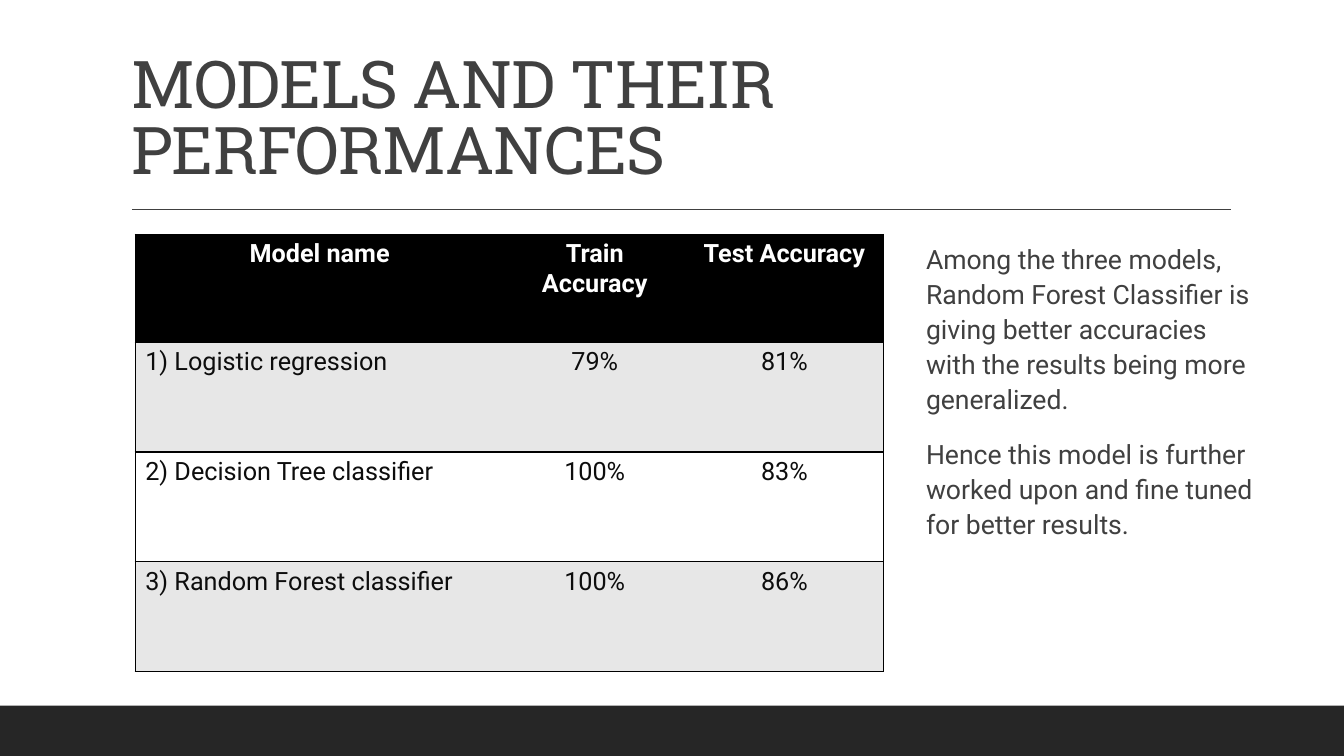
from dataclasses import dataclass

from lxml.etree import SubElement
from pptx import Presentation
from pptx.dml.color import RGBColor
from pptx.enum.shapes import MSO_CONNECTOR, MSO_SHAPE
from pptx.enum.text import MSO_ANCHOR, MSO_AUTO_SIZE, PP_ALIGN
from pptx.oxml.ns import qn
from pptx.slide import Slide
from pptx.table import _Cell
from pptx.text.text import _Paragraph, _Run
from pptx.util import Pt

WIDE, HIGH = 960, 540
BODY, HEAD = "Roboto", "Roboto Slab"
GREY, DARK, BLACK, WHITE, BAND = "404040", "262626", "000000", "FFFFFF", "E7E7E7"


@dataclass
class Column:
    title: str
    width: float
    align: PP_ALIGN


@dataclass
class Model:
    name: str
    train: str
    test: str


COLUMNS = [
    Column("Model name", 263.5, PP_ALIGN.LEFT),
    Column("Train Accuracy", 129.5, PP_ALIGN.CENTER),
    Column("Test Accuracy", 141.5, PP_ALIGN.CENTER),
]
MODELS = [
    Model("1) Logistic regression", "79%", "81%"),
    Model("2) Decision Tree classifier", "100%", "83%"),
    Model("3) Random Forest classifier", "100%", "86%"),
]
NOTES = [
    "Among the three models, Random Forest Classifier is giving better "
    "accuracies with the results being more generalized.",
    "Hence this model is further worked upon and fine tuned for better results.",
]


def color(code: str) -> RGBColor:
    return RGBColor.from_string(code)


def add_run(para: _Paragraph, text: str, size: float, code: str,
            font: str = BODY, bold: bool = False) -> _Run:
    run = para.add_run()
    run.text = text
    run.font.name = font
    run.font.size = Pt(size)
    run.font.bold = bold
    run.font.color.rgb = color(code)
    return run


def add_frame(slide: Slide) -> None:
    """Draw the footer band and the rule below the title."""
    band = slide.shapes.add_shape(MSO_SHAPE.RECTANGLE, 0, Pt(504), Pt(WIDE), Pt(36))
    band.shadow.inherit = False
    band.fill.solid()
    band.fill.fore_color.rgb = color(DARK)
    band.line.fill.background()
    rule = slide.shapes.add_connector(
        MSO_CONNECTOR.STRAIGHT, Pt(94.3), Pt(149.5), Pt(879), Pt(149.5))
    rule.line.color.rgb = color(GREY)
    rule.line.width = Pt(1)
    SubElement(rule._element.spPr, qn("a:effectLst"))


def add_title(slide: Slide, text: str) -> None:
    title = slide.shapes.title
    title.left, title.top = Pt(86.4), Pt(23)
    title.width, title.height = Pt(792), Pt(114.5)
    frame = title.text_frame
    frame.word_wrap = True
    frame.auto_size = MSO_AUTO_SIZE.NONE
    frame.vertical_anchor = MSO_ANCHOR.BOTTOM
    para = frame.paragraphs[0]
    para.alignment = PP_ALIGN.LEFT
    para.line_spacing = 0.83
    run = add_run(para, text, 47, GREY, HEAD)
    run.font._element.set("spc", "-50")


def set_edges(cell: _Cell, first: bool, last: bool) -> None:
    """Rule above and below each cell, and at the outer sides of the table."""
    props = cell._tc.get_or_add_tcPr()
    edges = {"a:lnL": first, "a:lnR": last, "a:lnT": True, "a:lnB": True}
    for tag, shown in edges.items():
        line = SubElement(props, qn(tag), w=str(Pt(1)))
        if shown:
            fill = SubElement(line, qn("a:solidFill"))
            SubElement(fill, qn("a:srgbClr"), val=BLACK)
        else:
            SubElement(line, qn("a:noFill"))


def add_scores(slide: Slide) -> None:
    heights = [77] + [78.4] * len(MODELS)
    table = slide.shapes.add_table(
        len(heights), len(COLUMNS), Pt(96.6), Pt(167.5),
        Pt(sum(col.width for col in COLUMNS)), Pt(sum(heights))).table
    table.first_row = table.horz_banding = False
    for row, height in zip(table.rows, heights):
        row.height = Pt(height)
    texts = [[col.title for col in COLUMNS]]
    texts += [[model.name, model.train, model.test] for model in MODELS]
    for x, col in enumerate(COLUMNS):
        table.columns[x].width = Pt(col.width)
        for y, row in enumerate(texts):
            head = y == 0
            cell = table.cell(y, x)
            set_edges(cell, x == 0, x == len(COLUMNS) - 1)
            cell.fill.solid()
            cell.fill.fore_color.rgb = color(BLACK if head else BAND if y % 2 else WHITE)
            para = cell.text_frame.paragraphs[0]
            para.alignment = PP_ALIGN.CENTER if head else col.align
            add_run(para, row[x], 18, WHITE if head else "0D0D0D", bold=head)


def add_notes(slide: Slide) -> None:
    box = slide.shapes.add_textbox(Pt(647.3), Pt(167.5), Pt(257), Pt(295))
    frame = box.text_frame
    frame.word_wrap = True
    frame.margin_left = Pt(14.2)
    for i, text in enumerate(NOTES):
        para = frame.add_paragraph() if i else frame.paragraphs[0]
        para.line_spacing = 1.1
        para.space_before, para.space_after = Pt(12), Pt(2)
        add_run(para, text, 19, GREY)


def main() -> None:
    deck = Presentation()
    deck.slide_width, deck.slide_height = Pt(WIDE), Pt(HIGH)
    slide = deck.slides.add_slide(deck.slide_layouts[5])
    slide.background.fill.solid()
    slide.background.fill.fore_color.rgb = color(WHITE)
    add_frame(slide)
    add_title(slide, "MODELS AND THEIR PERFORMANCES")
    add_scores(slide)
    add_notes(slide)
    deck.save("out.pptx")


if __name__ == "__main__":
    main()
